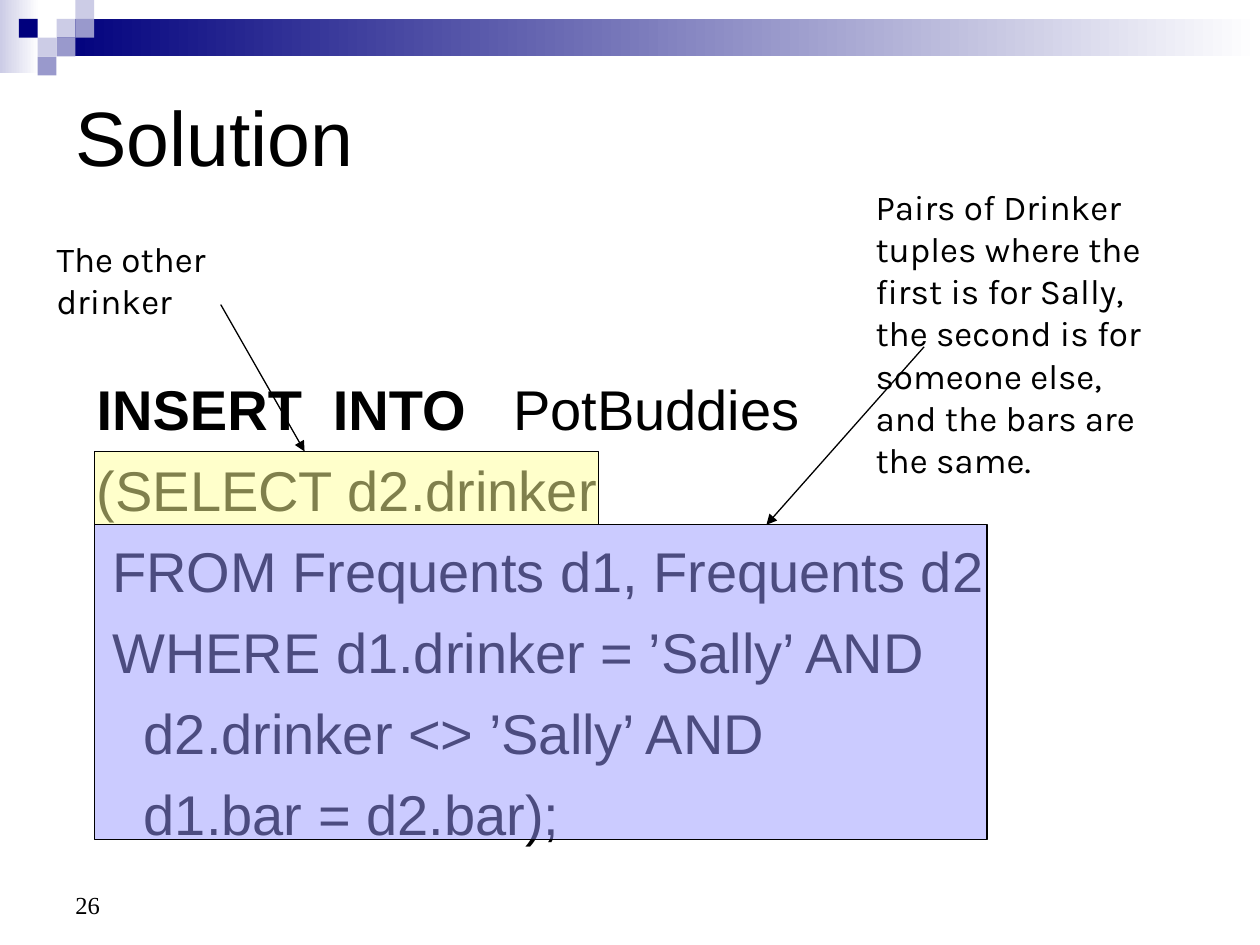
import pptx
import pptx.dml.color
import pptx.enum.shapes
import pptx.enum.text
import pptx.oxml.ns
import pptx.util
from dataclasses import dataclass
from lxml import etree
from pptx.util import Cm, Pt

ANCHOR = pptx.enum.text.MSO_ANCHOR


@dataclass(frozen=True)
class Theme:
    ink: str = "000000"
    white: str = "FFFFFF"
    navy: str = "00007D"
    mid: str = "9999CC"
    pale: str = "CCCCE6"
    condition: str = "9999FF"
    selection: str = "FFFF99"
    font: str = "Arial"
    note_font: str = "Karla"
    number_font: str = "Times New Roman"
    title_size: float = 44
    code_size: float = 32
    note_size: float = 20
    number_size: float = 14
    line_width: float = 0.75


THEME = Theme()


def rgb(value):
    return pptx.dml.color.RGBColor.from_string(value)


def add_xml(parent, tag, **attributes):
    return etree.SubElement(parent, pptx.oxml.ns.qn(tag), **attributes)


def write_text(shape, lines, font=THEME.font, size=THEME.code_size, anchor=ANCHOR.TOP,
               line_height=None, space_before=0, hanging=0):
    """Each line is a list of (text, bold) runs."""
    frame = shape.text_frame
    frame.word_wrap = True
    frame.auto_size = pptx.enum.text.MSO_AUTO_SIZE.NONE
    frame.vertical_anchor = anchor
    for index, runs in enumerate(lines):
        paragraph = frame.paragraphs[0] if index == 0 else frame.add_paragraph()
        paragraph.alignment = pptx.enum.text.PP_ALIGN.LEFT
        if line_height:
            paragraph.line_spacing = Pt(line_height)
        if index:
            paragraph.space_before = Pt(space_before)
        if hanging:
            properties = paragraph._p.get_or_add_pPr()
            properties.set("marL", str(Cm(hanging)))
            properties.set("indent", str(-Cm(hanging)))
        for text, bold in runs:
            run = paragraph.add_run()
            run.text = text
            run.font.name, run.font.size, run.font.bold = font, Pt(size), bold
            run.font.color.rgb = rgb(THEME.ink)


def add_text(slide, box, lines, **text_format):
    shape = slide.shapes.add_textbox(*map(Cm, box))
    write_text(shape, lines, **text_format)
    return shape


def add_rectangle(slide, box, color, fade_to=None, opacity=None, outlined=False):
    shape = slide.shapes.add_shape(pptx.enum.shapes.MSO_SHAPE.RECTANGLE, *map(Cm, box))
    shape.shadow.inherit = False
    if fade_to:
        shape.fill.gradient()
        shape.fill.gradient_angle = 0
        for stop, stop_color in zip(shape.fill.gradient_stops, (color, fade_to)):
            stop.color.rgb = rgb(stop_color)
    else:
        shape.fill.solid()
        shape.fill.fore_color.rgb = rgb(color)
    if opacity:
        color_element = shape._element.spPr.find(".//" + pptx.oxml.ns.qn("a:srgbClr"))
        add_xml(color_element, "a:alpha", val=str(opacity * 1000))
    if outlined:
        shape.line.color.rgb = rgb(THEME.ink)
        shape.line.width = Pt(THEME.line_width)
    else:
        shape.line.fill.background()


def add_arrow(slide, start, end):
    arrow = slide.shapes.add_connector(
        pptx.enum.shapes.MSO_CONNECTOR.STRAIGHT, *map(Cm, start + end))
    arrow.line.color.rgb = rgb(THEME.ink)
    arrow.line.width = Pt(THEME.line_width)
    add_xml(arrow.line._get_or_add_ln(), "a:tailEnd", type="triangle")
    add_xml(arrow._element.spPr, "a:effectLst")


def add_banner(slide, box):
    """Fading bar with a checker of small squares at its left end."""
    left, top, width, height = box
    unit = 0.38
    add_rectangle(slide, (left, top, 0.79, height), THEME.pale, fade_to=THEME.white)
    bar_left = 3 * unit
    add_rectangle(slide, (left + bar_left, top + unit, width - bar_left, 2 * unit),
                  THEME.navy, fade_to=THEME.white)
    squares = [(3, 1, THEME.pale), (4, 0, THEME.pale), (4, 1, THEME.mid),
               (2, 2, THEME.pale), (1, 1, THEME.navy), (3, 2, THEME.mid),
               (2, 3, THEME.mid)]
    for column, row, color in squares:
        add_rectangle(slide, (left + column * unit, top + row * unit, unit, unit), color)


def place_title(slide, box, text):
    title = slide.shapes.title
    title.left, title.top, title.width, title.height = map(Cm, box)
    write_text(title, [[(text, False)]], size=THEME.title_size, anchor=ANCHOR.MIDDLE)


def add_query(slide, box):
    lines = [[("INSERT  INTO   ", True), ("PotBuddies", False)]]
    lines += [[(text, False)] for text in (
        "(SELECT d2.drinker",
        " FROM Frequents d1, Frequents d2",
        " WHERE d1.drinker = ’Sally’ AND",
        "\td2.drinker <> ’Sally’ AND",
        "\td1.bar = d2.bar);")]
    add_text(slide, box, lines, line_height=38.3, space_before=8, hanging=0.95)


def add_callout(slide, box, color, note_box, note, arrow_start, arrow_end):
    """Tinted box over the query; note and arrow are offset from its corner."""
    left, top = box[:2]
    add_rectangle(slide, box, color, opacity=50, outlined=True)
    note_left, note_top, note_width, note_height = note_box
    add_text(slide, (left + note_left, top + note_top, note_width, note_height),
             [[(line, False)] for line in note],
             font=THEME.note_font, size=THEME.note_size, line_height=24.1)
    add_arrow(slide, (left + arrow_start[0], top + arrow_start[1]),
              (left + arrow_end[0], top + arrow_end[1]))


def main():
    presentation = pptx.Presentation()
    presentation.slide_width, presentation.slide_height = Cm(25.4), Cm(19.05)
    slide = presentation.slides.add_slide(presentation.slide_layouts[5])

    # Header
    add_banner(slide, (0, 0, 25.4, 1.47))
    place_title(slide, (1.27, 1.47, 22.86, 2.54), "Solution")

    # Query with its two explained parts
    add_query(slide, (1.7, 7.42, 22.86, 10.8))
    add_callout(slide, (1.91, 10.58, 17.99, 6.35), THEME.condition,
                (15.49, -6.97, 8, 6.2),
                ["Pairs of Drinker", "tuples where the", "first is for Sally,",
                 "the second is for", "someone else,", "and the bars are", "the same."],
                (16.72, -3.59), (13.54, 0))
    add_callout(slide, (1.91, 9.1, 10.16, 1.48), THEME.selection,
                (-1.02, -4.44, 4.34, 1.96), ["The other", "drinker"],
                (2.54, -2.96), (4.23, 0))

    # Slide number
    add_text(slide, (1.27, 17.35, 5.92, 1.32), [[("26", False)]],
             font=THEME.number_font, size=THEME.number_size, anchor=ANCHOR.BOTTOM)
    presentation.save("out.pptx")


if __name__ == "__main__":
    main()
